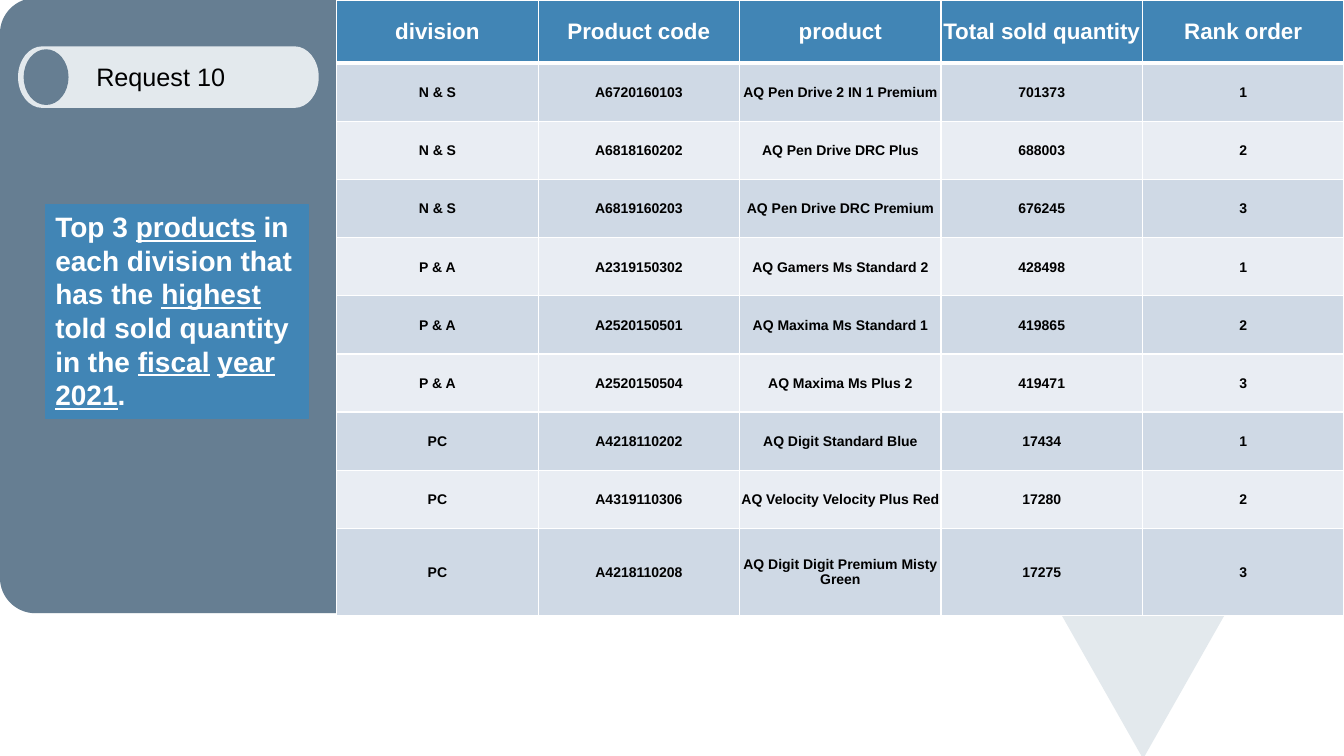
from lxml.etree import SubElement as Sub
from pptx import Presentation
from pptx.dml.color import RGBColor as RGB
from pptx.enum.shapes import MSO_SHAPE as Kind
from pptx.enum.text import MSO_ANCHOR as Anchor, MSO_AUTO_SIZE as Auto, PP_ALIGN as Align
from pptx.oxml.ns import qn
from pptx.util import Pt

WHITE = RGB(0xFF, 0xFF, 0xFF)
BLACK = RGB(0x00, 0x00, 0x00)
MIST = RGB(0xE3, 0xE9, 0xED)
SLATE = RGB(0x66, 0x7E, 0x92)
BLUE = RGB(0x41, 0x85, 0xB5)
DARK = RGB(0xCF, 0xD9, 0xE5)
LIGHT = RGB(0xE9, 0xED, 0xF3)


def write(frame, text, size=10, color=BLACK, bold=False, align=Align.LEFT):
    para = frame.paragraphs[0]
    para.alignment = align
    for i, part in enumerate(text.split("*")):
        run = para.add_run()
        run.text = part
        font = run.font
        font.name, font.size, font.bold = "Arial", Pt(size), bold
        font.color.rgb = color
        font.underline = i % 2 == 1


def outline(l, t, r, b, wide, high):
    steps = []
    for x, y, dx, dy, flat in [(l, t, wide, high, True), (l, b, wide, -high, False),
                               (r, b, -wide, -high, True), (r, t, -wide, high, False)]:
        ends = [(x + dx, y), (x, y + dy)]
        pulls = [(x + dx * 0.45, y), (x, y + dy * 0.45)]
        if not flat:
            ends.reverse()
            pulls.reverse()
        steps += [[ends[0]], pulls + [ends[1]]]
    return steps


deck = Presentation()
deck.slide_width, deck.slide_height = Pt(960), Pt(540)
slide = deck.slides.add_slide(deck.slide_layouts[6])
shapes = slide.shapes

TOP, BASE, SIDE = -1.4, 438, 240.5
card = outline(0, TOP, 960, BASE, 25.3, 25.3)
tip = [[(757.5, BASE)], [(816.5, 542)], [(875.5, BASE)]]
forms = [
    (card[:4] + tip + card[4:], MIST),
    (card[:4] + [[(SIDE, BASE)], [(SIDE, TOP)]], SLATE),
    (outline(12.9, 33.1, 227.7, 77.1, 17.3, 22), MIST),
    (outline(16.9, 35.2, 49, 75, 16.05, 19.9), SLATE),
]
for steps, color in forms:
    steps = [[(Pt(x), Pt(y)) for x, y in step] for step in steps]
    ends = [step[-1] for step in steps]
    path = shapes.build_freeform(*ends[0])
    path.add_line_segments(ends[1:], close=True)
    form = path.convert_to_shape()
    form.shadow.inherit = False
    form.fill.solid()
    form.fill.fore_color.rgb = color
    form.line.fill.background()
    lines = list(form._element.iter(qn("a:lnTo")))
    for line, step in zip(lines, steps[1:]):
        if len(step) == 3:
            line.tag = qn("a:cubicBezTo")
            line.remove(line[0])
            for x, y in step:
                Sub(line, qn("a:pt"), x=str(x - form.left), y=str(y - form.top))

label = shapes.add_textbox(Pt(61.7), Pt(40.5), Pt(141), Pt(29))
label.text_frame.word_wrap = True
label.text_frame.auto_size = Auto.SHAPE_TO_FIT_TEXT
write(label.text_frame, "Request 10", size=18)

note = shapes.add_shape(Kind.RECTANGLE, Pt(32.4), Pt(146.2), Pt(187.8), Pt(152.6))
note.shadow.inherit = False
note.fill.solid()
note.fill.fore_color.rgb = BLUE
note.line.color.rgb = BLUE
note.line.width = Pt(1)
note.text_frame.word_wrap = True
note.text_frame.auto_size = Auto.SHAPE_TO_FIT_TEXT
note.text_frame.vertical_anchor = Anchor.TOP
write(note.text_frame,
      "Top 3 *products* in each division that has the *highest* told sold "
      "quantity in the *fiscal* *year* *2021*.",
      size=20, color=WHITE, bold=True)

rows = [
    ("division", "Product code", "product", "Total sold quantity", "Rank order"),
    ("N & S", "A6720160103", "AQ Pen Drive 2 IN 1 Premium", "701373", "1"),
    ("N & S", "A6818160202", "AQ Pen Drive DRC Plus", "688003", "2"),
    ("N & S", "A6819160203", "AQ Pen Drive DRC Premium", "676245", "3"),
    ("P & A", "A2319150302", "AQ Gamers Ms Standard 2", "428498", "1"),
    ("P & A", "A2520150501", "AQ Maxima Ms Standard 1", "419865", "2"),
    ("P & A", "A2520150504", "AQ Maxima Ms Plus 2", "419471", "3"),
    ("PC", "A4218110202", "AQ Digit Standard Blue", "17434", "1"),
    ("PC", "A4319110306", "AQ Velocity Velocity Plus Red", "17280", "2"),
    ("PC", "A4218110208", "AQ Digit Digit Premium Misty Green", "17275", "3"),
]
highs = [45.2] + [41.54] * 8 + [62]
grid = shapes.add_table(len(rows), 5, Pt(SIDE), Pt(0), Pt(719.5), Pt(sum(highs))).table
for col in grid.columns:
    col.width = Pt(143.9)

for r, row in enumerate(rows):
    grid.rows[r].height = Pt(highs[r])
    head = r == 0
    for c, text in enumerate(row):
        cell = grid.cell(r, c)
        cell.margin_left = cell.margin_right = cell.margin_top = Pt(0.75)
        cell.margin_bottom = Pt(0)
        cell.vertical_anchor = Anchor.MIDDLE
        props = cell._tc.get_or_add_tcPr()
        for side in "LRTB" if head else "":
            edge = Sub(props, qn("a:ln" + side), w=str(Pt(3 if side == "B" else 1)))
            fill = Sub(edge, qn("a:solidFill"))
            Sub(fill, qn("a:srgbClr"), val=str(WHITE))
        cell.fill.solid()
        cell.fill.fore_color.rgb = BLUE if head else DARK if r % 2 else LIGHT
        write(cell.text_frame, text, size=16 if head else 10,
              color=WHITE if head else BLACK, bold=True, align=Align.CENTER)

deck.save("out.pptx")
